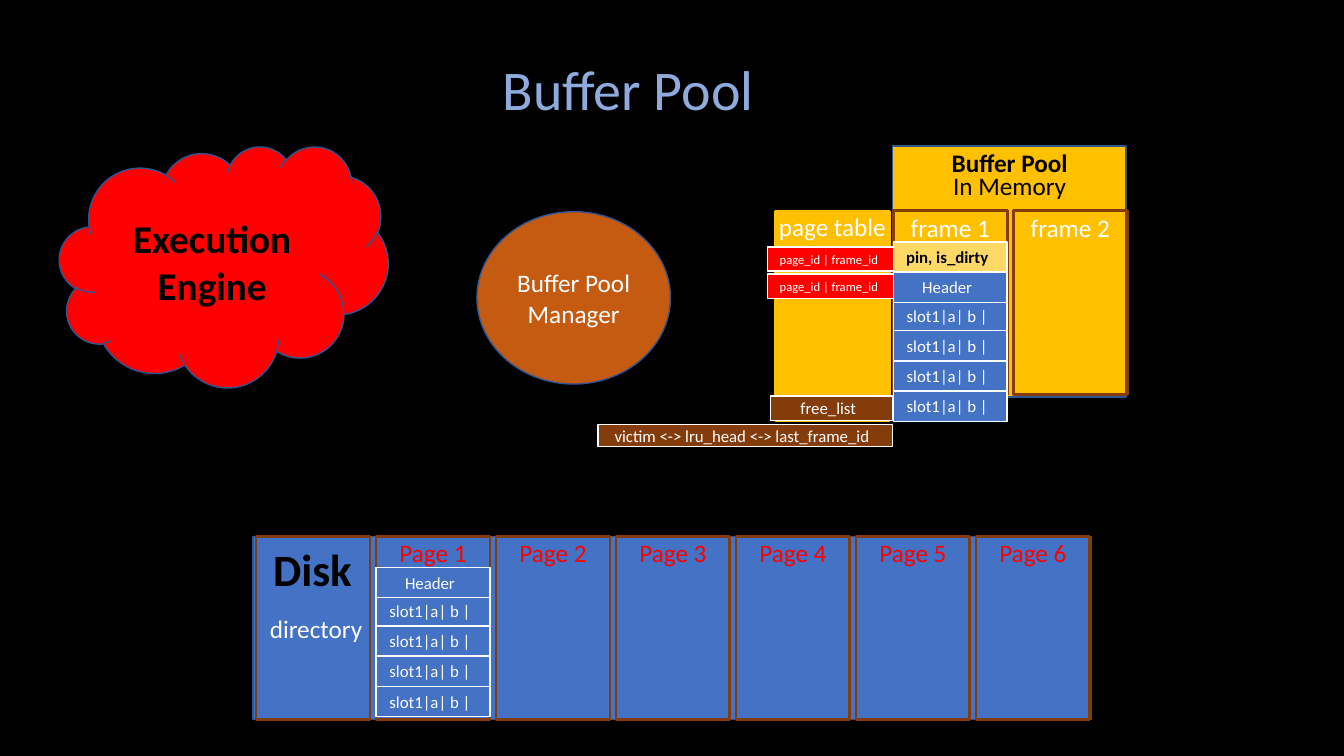
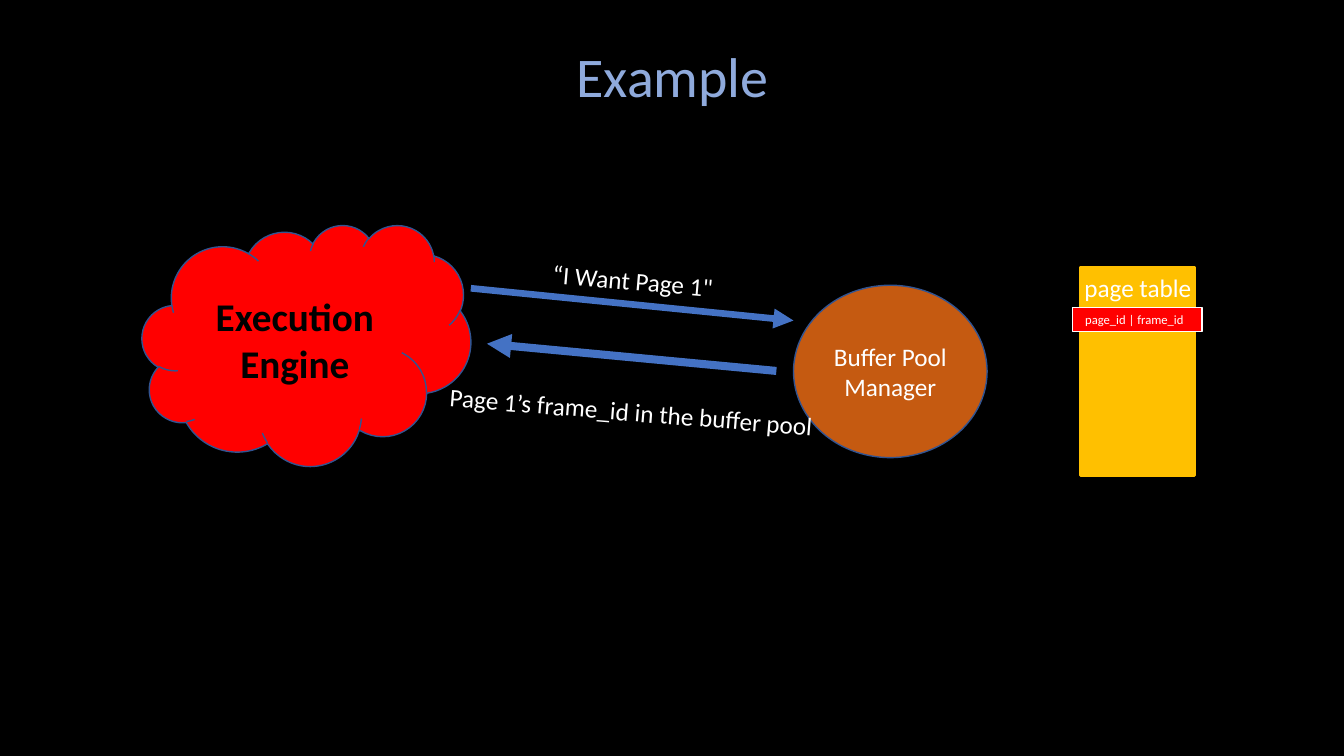
import pptx
import pptx.dml.color
import pptx.enum.shapes
import pptx.enum.text
import pptx.oxml
import pptx.oxml.ns
import pptx.util
from lxml import etree

RGBColor = pptx.dml.color.RGBColor
SHAPE = pptx.enum.shapes.MSO_SHAPE
ANCHOR = pptx.enum.text.MSO_ANCHOR
CENTER = pptx.enum.text.PP_ALIGN.CENTER

PX = 9144  # 100 px to the inch
FONT = "Calibri"
BLACK = RGBColor(0x00, 0x00, 0x00)
WHITE = RGBColor(0xFF, 0xFF, 0xFF)
RED = RGBColor(0xFF, 0x00, 0x00)
BLUE = RGBColor(0x44, 0x72, 0xC4)
DARK_BLUE = RGBColor(0x32, 0x54, 0x91)
TITLE_BLUE = RGBColor(0x8F, 0xAA, 0xDC)
GOLD = RGBColor(0xFF, 0xC0, 0x00)
PALE_GOLD = RGBColor(0xFF, 0xD9, 0x66)
ORANGE = RGBColor(0xC5, 0x5A, 0x11)
BROWN = RGBColor(0x84, 0x3C, 0x0B)

COLUMN_WIDTH, COLUMN_HEIGHT, COLUMN_PITCH = 113, 182, 119
ROW_HEIGHT = 30


def px(length):
    return pptx.util.Emu(length * PX)


def set_attributes(target, values):
    for name, value in values.items():
        setattr(target, name, value)


def write_text(shape, text, size, color=WHITE, bold=False, **frame_format):
    """Fill a shape with centred text, one paragraph a line."""
    frame = shape.text_frame
    frame.text = text
    set_attributes(frame, {"word_wrap": True, "vertical_anchor": ANCHOR.MIDDLE, **frame_format})
    for paragraph in frame.paragraphs:
        paragraph.alignment = CENTER
        set_attributes(paragraph.font, {"name": FONT, "size": pptx.util.Pt(size), "bold": bold})
        paragraph.font.color.rgb = color


def add_box(slide, left, top, width, height, fill=None, line=DARK_BLUE, weight=1,
            kind=SHAPE.RECTANGLE):
    shape = slide.shapes.add_shape(kind, px(left), px(top), px(width), px(height))
    shape.shadow.inherit = False
    if fill is None:
        shape.fill.background()
    else:
        shape.fill.solid()
        shape.fill.fore_color.rgb = fill
    shape.line.color.rgb = line
    shape.line.width = pptx.util.Pt(weight)
    return shape


def add_label(slide, text, left, top, width, height=40, size=18, color=WHITE, bold=False,
              rotation=0):
    box = slide.shapes.add_textbox(px(left), px(top), px(width), px(height))
    box.rotation = rotation
    write_text(box, text, size, color, bold, word_wrap=False)


def add_cell(slide, text, left, top, width, height, fill, size=12, color=WHITE, bold=False):
    """White-edged cell whose text sits slightly left of centre."""
    cell = add_box(slide, left, top, width, height, fill, WHITE)
    write_text(cell, text, size, color, bold, margin_left=px(8), margin_right=px(14),
               margin_top=0, margin_bottom=0)


def add_column(slide, text, left, top, color=WHITE, height=COLUMN_HEIGHT, fill=None,
               line=BROWN, text_offset=1):
    """Tall box with its name at the top."""
    column = add_box(slide, left, top, COLUMN_WIDTH, height, fill, line, 2)
    write_text(column, text, 18, color, vertical_anchor=ANCHOR.TOP, margin_left=0,
               margin_right=0, margin_top=px(text_offset))


def add_page_rows(slide, left, top):
    for row in range(4):
        add_cell(slide, "slot1|a| b |", left, top + 28 + row * ROW_HEIGHT,
                 COLUMN_WIDTH, ROW_HEIGHT, BLUE)
    add_cell(slide, "Header", left, top, COLUMN_WIDTH, ROW_HEIGHT, BLUE)


def add_page_table(slide, left, top, text_offset, entry_tops):
    add_column(slide, "page table", left, top, height=207, fill=GOLD, line=GOLD,
               text_offset=text_offset)
    for entry_top in entry_tops:
        add_cell(slide, "page_id | frame_id", left - 8, entry_top, 128, 24, RED, size=9)


def add_engine(slide, left, top):
    cloud = add_box(slide, left, top, 326, 239, RED, kind=SHAPE.CLOUD)
    write_text(cloud, "Execution Engine", 28, BLACK, True)


def add_manager(slide, left, top):
    ellipse = add_box(slide, left, top, 192, 171, ORANGE, kind=SHAPE.OVAL)
    write_text(ellipse, "Buffer Pool\nManager", 18)


def add_arrow(slide, start, end, weight):
    arrow = slide.shapes.add_connector(pptx.enum.shapes.MSO_CONNECTOR.STRAIGHT,
                                       *map(px, start + end))
    arrow.line.color.rgb = BLUE
    arrow.line.width = pptx.util.Pt(weight)
    tail = etree.SubElement(arrow.line._get_or_add_ln(), pptx.oxml.ns.qn("a:tailEnd"))
    tail.set("type", "triangle")
    etree.SubElement(arrow._element.spPr, pptx.oxml.ns.qn("a:effectLst"))


def add_titled_slide(presentation, text, left, top):
    slide = presentation.slides.add_slide(presentation.slide_layouts[5])
    title = slide.shapes.title
    set_attributes(title, {"left": px(left), "top": px(top), "width": px(924), "height": px(77)})
    write_text(title, text, 40, TITLE_BLUE)
    return slide


def add_disk(slide, left, top):
    add_box(slide, left - 3, top, 831, COLUMN_HEIGHT, BLUE)
    add_label(slide, "Disk", left + 3, top, 106, 64, 32, BLACK, True)
    add_label(slide, "directory", left + 3, top + 71, 113)
    add_box(slide, left, top, COLUMN_WIDTH, COLUMN_HEIGHT, line=BROWN, weight=2)
    for number in range(1, 7):
        add_column(slide, f"Page {number}", left + number * COLUMN_PITCH, top, RED)
    add_page_rows(slide, left + COLUMN_PITCH, top + 31)


def add_memory(slide, left, top):
    add_box(slide, left, top, 232, 249, GOLD)
    add_label(slide, "In Memory", left + 50, top + 19, 133, color=BLACK)
    add_label(slide, "Buffer Pool", left + 48, top - 4, 137, color=BLACK, bold=True)
    for number in (1, 2):
        add_column(slide, f"frame {number}", left + 1 + (number - 1) * COLUMN_PITCH, top + 64,
                   text_offset=2)


def build_buffer_pool(presentation):
    slide = add_titled_slide(presentation, "Buffer Pool", 161, 49)
    add_disk(slide, 254, 532)
    add_memory(slide, 885, 145)
    add_page_table(slide, 769, 210, 0, (245, 272))
    add_manager(slide, 473, 210)
    add_cell(slide, "free_list", 764, 393, 121, 24, BROWN)
    add_cell(slide, "victim <-> lru_head <-> last_frame_id", 593, 421, 292, 22, BROWN)
    add_page_rows(slide, 886, 270)
    add_cell(slide, "pin, is_dirty", 886, 240, COLUMN_WIDTH, ROW_HEIGHT, PALE_GOLD,
             color=BLACK, bold=True)
    add_engine(slide, 59, 145)


def build_example(presentation):
    slide = add_titled_slide(presentation, "Example", 205, 36)
    add_engine(slide, 141, 223)
    add_arrow(slide, (467, 286), (787, 318), 4.75)
    add_label(slide, "“I Want Page 1\"", 537, 258, 181, rotation=4.9)
    add_manager(slide, 787, 283)
    add_arrow(slide, (770, 368), (483, 341), 5.75)
    add_label(slide, "Page 1’s frame_id in the buffer pool", 433, 388, 386, rotation=4.6)
    add_page_table(slide, 1072, 265, 5, (305,))


def main():
    presentation = pptx.Presentation()
    set_attributes(presentation, {"slide_width": px(1333), "slide_height": px(750)})
    background = presentation.slide_master.background.fill
    background.solid()
    background.fore_color.rgb = BLACK
    build_buffer_pool(presentation)
    build_example(presentation)
    presentation.save("out.pptx")


if __name__ == "__main__":
    main()
